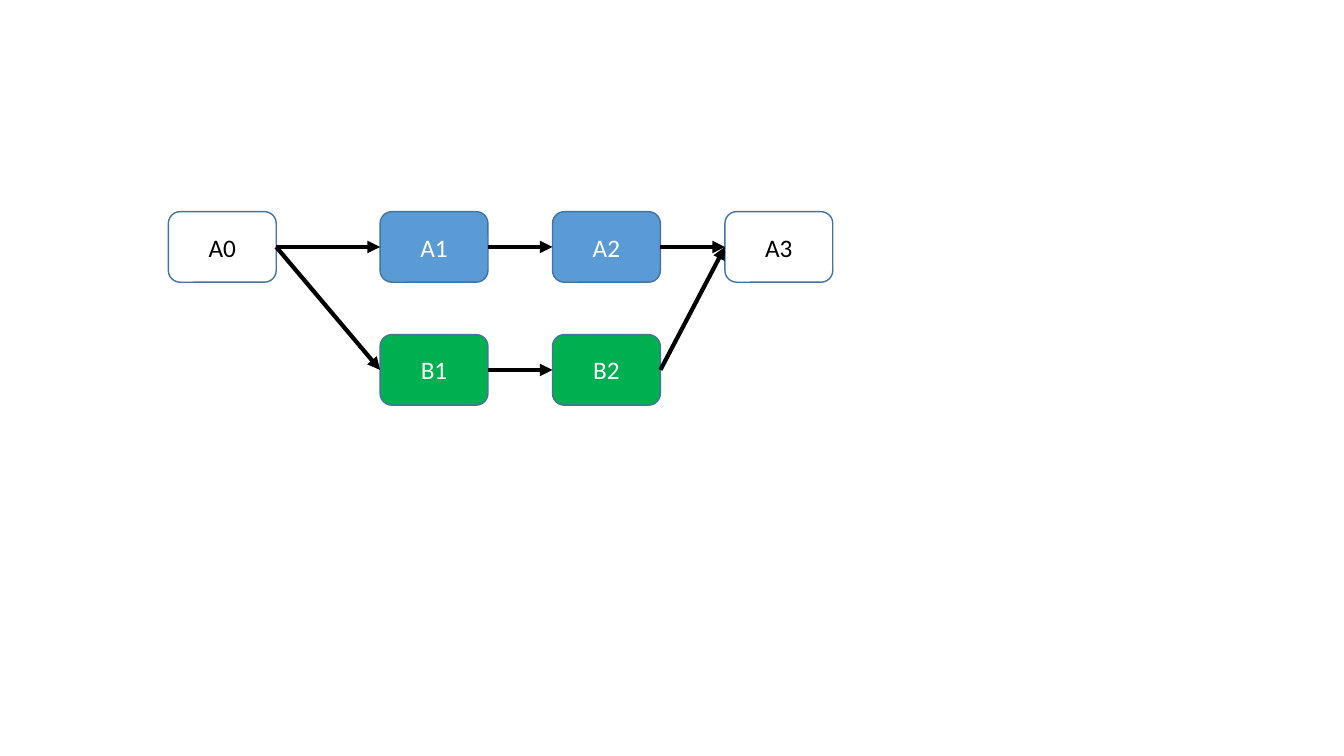
from dataclasses import dataclass

from lxml import etree
from pptx import Presentation
from pptx.dml.color import RGBColor
from pptx.enum import shapes, text
from pptx.oxml import ns
from pptx.util import Inches, Pt


@dataclass(frozen=True)
class Theme:
    blue: str = "5B9BD5"
    green: str = "00B050"
    edge: str = "43739E"
    dark: str = "000000"
    light: str = "FFFFFF"
    font: str = "Calibri"
    size: float = 18
    thin: float = 1
    thick: float = 3


THEME = Theme()
LEFT, RIGHT = 1, 3  # connection sites of a rounded box
WIDTH, HEIGHT = 1.07, 0.7

# Name: column offset, row offset, fill
COLS = [0, 2.1, 3.81, 5.52]
ROWS = [0, 1.22]
NODES = {
    "A0": (COLS[0], ROWS[0], None),
    "A1": (COLS[1], ROWS[0], THEME.blue),
    "A2": (COLS[2], ROWS[0], THEME.blue),
    "A3": (COLS[3], ROWS[0], None),
    "B1": (COLS[1], ROWS[1], THEME.green),
    "B2": (COLS[2], ROWS[1], THEME.green),
}
LINKS = [("A0", "A1"), ("A1", "A2"), ("A2", "A3"),
         ("A0", "B1"), ("B1", "B2"), ("B2", "A3")]


def color(code):
    return RGBColor.from_string(code)


def add_node(slide, name, left, top, fill):
    node = slide.shapes.add_shape(
        shapes.MSO_SHAPE.ROUNDED_RECTANGLE,
        Inches(left), Inches(top), Inches(WIDTH), Inches(HEIGHT))
    node.shadow.inherit = False
    if fill:
        node.fill.solid()
        node.fill.fore_color.rgb = color(fill)
    else:
        node.fill.background()
    node.line.color.rgb = color(THEME.edge)
    node.line.width = Pt(THEME.thin)

    # Label
    frame = node.text_frame
    frame.text = name
    frame.vertical_anchor = text.MSO_ANCHOR.MIDDLE
    label = frame.paragraphs[0]
    label.alignment = text.PP_ALIGN.CENTER
    label.font.name = THEME.font
    label.font.size = Pt(THEME.size)
    label.font.color.rgb = color(THEME.light if fill else THEME.dark)
    return node


def add_arrow(slide, start, end):
    arrow = slide.shapes.add_connector(
        shapes.MSO_CONNECTOR.STRAIGHT, 0, 0, 0, 0)
    arrow.begin_connect(start, RIGHT)
    arrow.end_connect(end, LEFT)
    arrow.line.color.rgb = color(THEME.dark)
    arrow.line.width = Pt(THEME.thick)
    line = arrow.line._get_or_add_ln()
    etree.SubElement(line, ns.qn("a:tailEnd"), type="triangle")
    etree.SubElement(arrow._element.spPr, ns.qn("a:effectLst"))


def add_graph(slide, left, top):
    # Boxes
    nodes = {name: add_node(slide, name, left + x, top + y, fill)
             for name, (x, y, fill) in NODES.items()}
    # Arrows
    for start, end in LINKS:
        add_arrow(slide, nodes[start], nodes[end])


def main():
    deck = Presentation()
    deck.slide_width, deck.slide_height = Inches(13.33), Inches(7.5)
    slide = deck.slides.add_slide(deck.slide_layouts.get_by_name("Blank"))
    add_graph(slide, 1.67, 2.1)
    deck.save("out.pptx")


if __name__ == "__main__":
    main()
